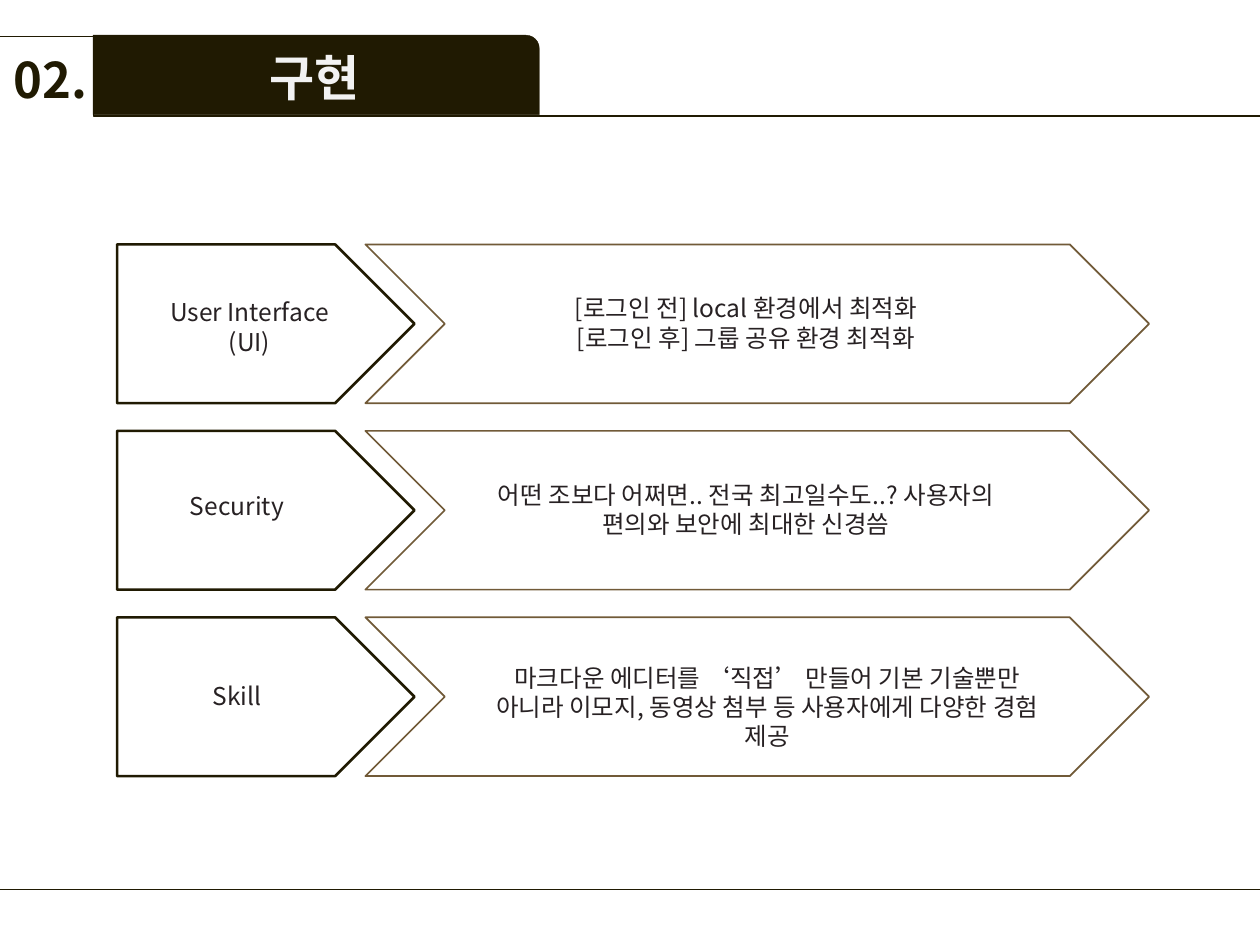
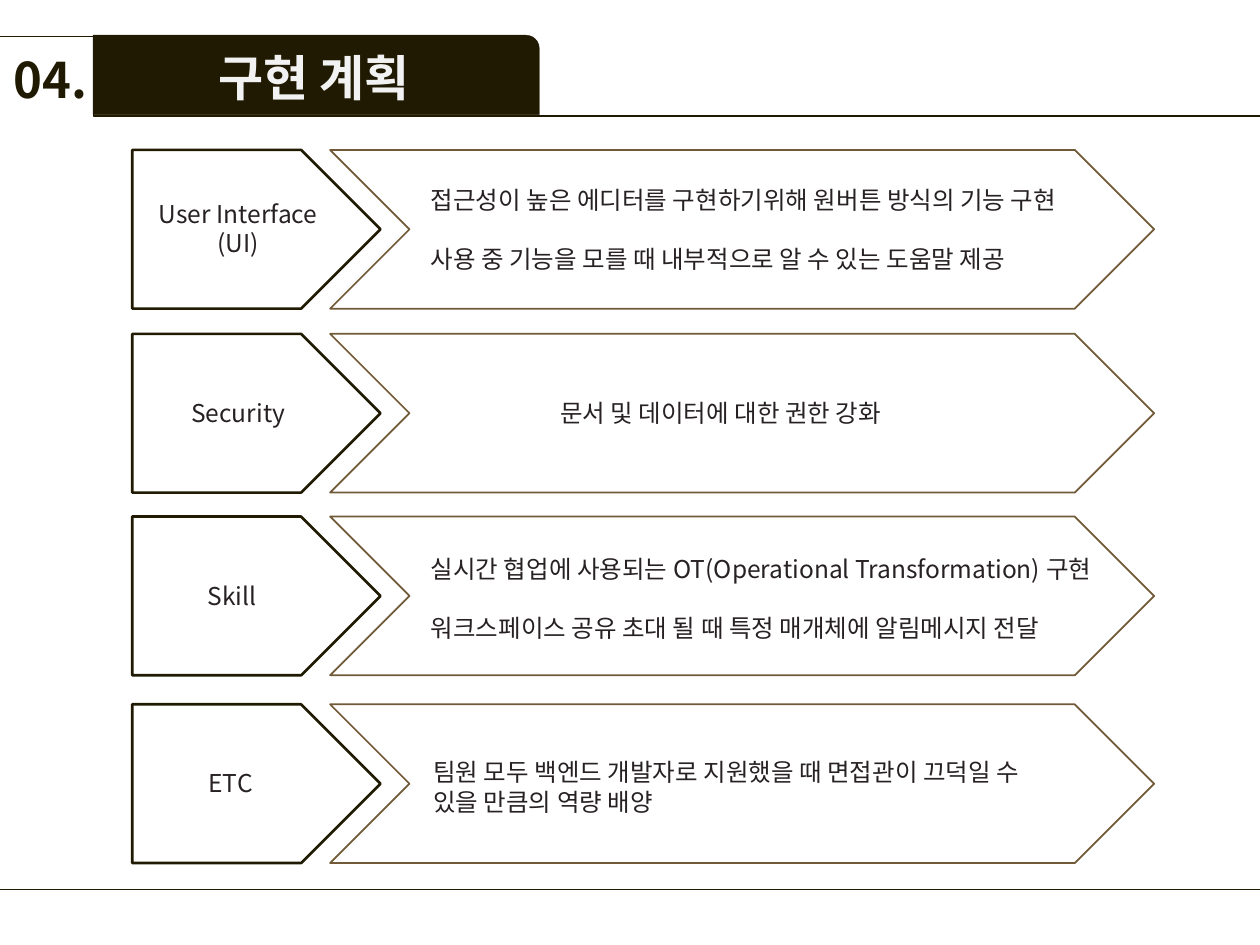
from lxml import etree
from pptx import Presentation
from pptx.dml.color import RGBColor
from pptx.enum.shapes import MSO_CONNECTOR, MSO_SHAPE
from pptx.enum.text import MSO_AUTO_SIZE, PP_ALIGN
from pptx.oxml.ns import qn
from pptx.util import Inches, Pt

PENTAGON, CHEVRON = MSO_SHAPE.PENTAGON, MSO_SHAPE.CHEVRON
TAB = MSO_SHAPE.ROUND_1_RECTANGLE
STRAIGHT, ELBOW = MSO_CONNECTOR.STRAIGHT, MSO_CONNECTOR.ELBOW
LEFT, CENTER = PP_ALIGN.LEFT, PP_ALIGN.CENTER
GROW = MSO_AUTO_SIZE.SHAPE_TO_FIT_TEXT

FONT = "Noto Sans CJK KR"
DARK, BROWN, INK, PALE = "201A02", "715A38", "272123", "F2F2F2"
SLIDE_WIDTH, SLIDE_HEIGHT = 10, 7.5
TAB_LEFT, TAB_TOP, HEADER_BOTTOM, FOOTER_TOP = 0.74, 0.29, 0.92, 7.06
ROW_HEIGHT = 1.26
LINE_GAP = 17


def color(hex_code):
    """Turn a hex string into a colour."""
    return RGBColor.from_string(hex_code)


def add_outline(shapes, kind, box, line, weight, fill=None):
    """Add a preset shape with a line and an optional fill."""
    shape = shapes.add_shape(kind, *map(Inches, box))
    shape.shadow.inherit = False
    if fill:
        shape.fill.solid()
        shape.fill.fore_color.rgb = color(fill)
    else:
        shape.fill.background()
    shape.line.color.rgb = color(line)
    shape.line.width = Pt(weight)


def add_rule(shapes, kind, start_y, end_y, bend=None):
    """Add a thin line across the slide, stepping at the bend if given."""
    rule = shapes.add_connector(
        kind, 0, Inches(start_y), Inches(SLIDE_WIDTH), Inches(end_y))
    rule.line.color.rgb = color(DARK)
    rule.line.width = Pt(0.75)
    properties = rule._element.spPr
    etree.SubElement(properties, qn("a:effectLst"))
    if bend is not None:
        adjustments = properties.find(qn("a:prstGeom")).get_or_add_avLst()
        etree.SubElement(adjustments, qn("a:gd"), name="adj1",
                         fmla=f"val {round(bend / SLIDE_WIDTH * 100000)}")


def add_text(shapes, box, lines, size=14, ink=INK, bold=False, align=CENTER, gap=0):
    """Add a wrapped text box with one paragraph per line."""
    frame = shapes.add_textbox(*map(Inches, box)).text_frame
    frame.word_wrap = True
    frame.auto_size = GROW
    for index, line in enumerate(lines):
        paragraph = frame.add_paragraph() if index else frame.paragraphs[0]
        paragraph.alignment = align
        if index and gap:
            paragraph.space_before = Pt(gap)
        run = paragraph.add_run()
        run.text = line
        run.font.size = Pt(size)
        run.font.bold = bold
        run.font.color.rgb = color(ink)
        run.font.name = FONT
        etree.SubElement(run._r.get_or_add_rPr(), qn("a:ea"), typeface=FONT)


def add_section_slide(deck, number, title):
    """Add a slide with the numbered title tab and the footer rule."""
    slide = deck.slides.add_slide(deck.slide_layouts[6])
    shapes = slide.shapes
    add_outline(shapes, TAB, (TAB_LEFT, 0.28, 3.54, 0.63), DARK, 0.25, DARK)
    add_rule(shapes, ELBOW, TAB_TOP, HEADER_BOTTOM, TAB_LEFT)
    add_text(shapes, (1, 0.33, 2.99, 0.57), [title], 28, PALE, True)
    add_text(shapes, (-0.04, 0.34, 0.88, 0.57), [number], 28, DARK, True)
    add_rule(shapes, STRAIGHT, FOOTER_TOP, FOOTER_TOP)
    return slide


def add_topic_row(slide, top, topic_span, detail_span, topic, detail, align=CENTER):
    """Add a topic pentagon and its detail chevron with their texts."""
    shapes = slide.shapes.add_group_shape().shapes
    for kind, (left, width), line, weight in (
            (PENTAGON, topic_span, DARK, 1.5), (CHEVRON, detail_span, BROWN, 1)):
        add_outline(shapes, kind, (left, top, width, ROW_HEIGHT), line, weight)
    add_text(shapes, *topic)
    add_text(shapes, *detail, align=align, gap=LINE_GAP if align == LEFT else 0)


def add_implementation(deck):
    """Add the slide on what was implemented."""
    slide = add_section_slide(deck, "02.", "구현")
    rows = [
        (((1.17, 2.31, 1.62, 0.57), ["User Interface", "(UI)"]),
         ((3.77, 2.28, 4.3, 0.57),
          ["[로그인 전] local 환경에서 최적화", "[로그인 후] 그룹 공유 환경 최적화"])),
        (((1.17, 3.85, 1.42, 0.34), ["Security"]),
         ((3.77, 3.76, 4.3, 0.57),
          ["어떤 조보다 어쩌면.. 전국 최고일수도..? 사용자의 편의와 보안에 최대한 신경씀"])),
        (((1.17, 5.36, 1.42, 0.34), ["Skill"]),
         ((3.77, 5.21, 4.64, 0.57),
          ["마크다운 에디터를 ‘직접’ 만들어 기본 기술뿐만 아니라 "
           "이모지, 동영상 첨부 등 사용자에게 다양한 경험 제공"])),
    ]
    for index, (topic, detail) in enumerate(rows):
        add_topic_row(slide, 1.94 + 1.48 * index, (0.93, 2.36), (2.9, 6.22), topic, detail)


def add_plan(deck):
    """Add the slide on what is planned."""
    slide = add_section_slide(deck, "04.", "구현 계획")
    rows = [
        (1.19, ((1.08, 1.53, 1.62, 0.57), ["User Interface", "(UI)"]),
         ((3.32, 1.42, 5.57, 0.81),
          ["접근성이 높은 에디터를 구현하기위해 원버튼 방식의 기능 구현",
           "사용 중 기능을 모를 때 내부적으로 알 수 있는 도움말 제공"]), LEFT),
        (2.65, ((1.18, 3.11, 1.42, 0.34), ["Security"]),
         ((3.57, 3.11, 4.3, 0.34), ["문서 및 데이터에 대한 권한 강화"]), CENTER),
        (4.1, ((1.13, 4.56, 1.42, 0.34), ["Skill"]),
         ((3.32, 4.35, 5.95, 1.04),
          ["실시간 협업에 사용되는 OT(Operational Transformation) 구현",
           "워크스페이스 공유 초대 될 때 특정 매개체에 알림메시지 전달"]), LEFT),
        (5.59, ((1.02, 6.05, 1.62, 0.34), ["ETC"]),
         ((3.34, 5.96, 5.1, 0.57),
          ["팀원 모두 백엔드 개발자로 지원했을 때 면접관이 끄덕일 수 있을 만큼의 역량 배양"]),
         LEFT),
    ]
    for top, topic, detail, align in rows:
        add_topic_row(slide, top, (1.05, 1.97), (2.62, 6.54), topic, detail, align)


def main():
    """Build and save the deck."""
    deck = Presentation()
    deck.slide_width, deck.slide_height = Inches(SLIDE_WIDTH), Inches(SLIDE_HEIGHT)
    add_implementation(deck)
    add_plan(deck)
    deck.save("out.pptx")


if __name__ == "__main__":
    main()
